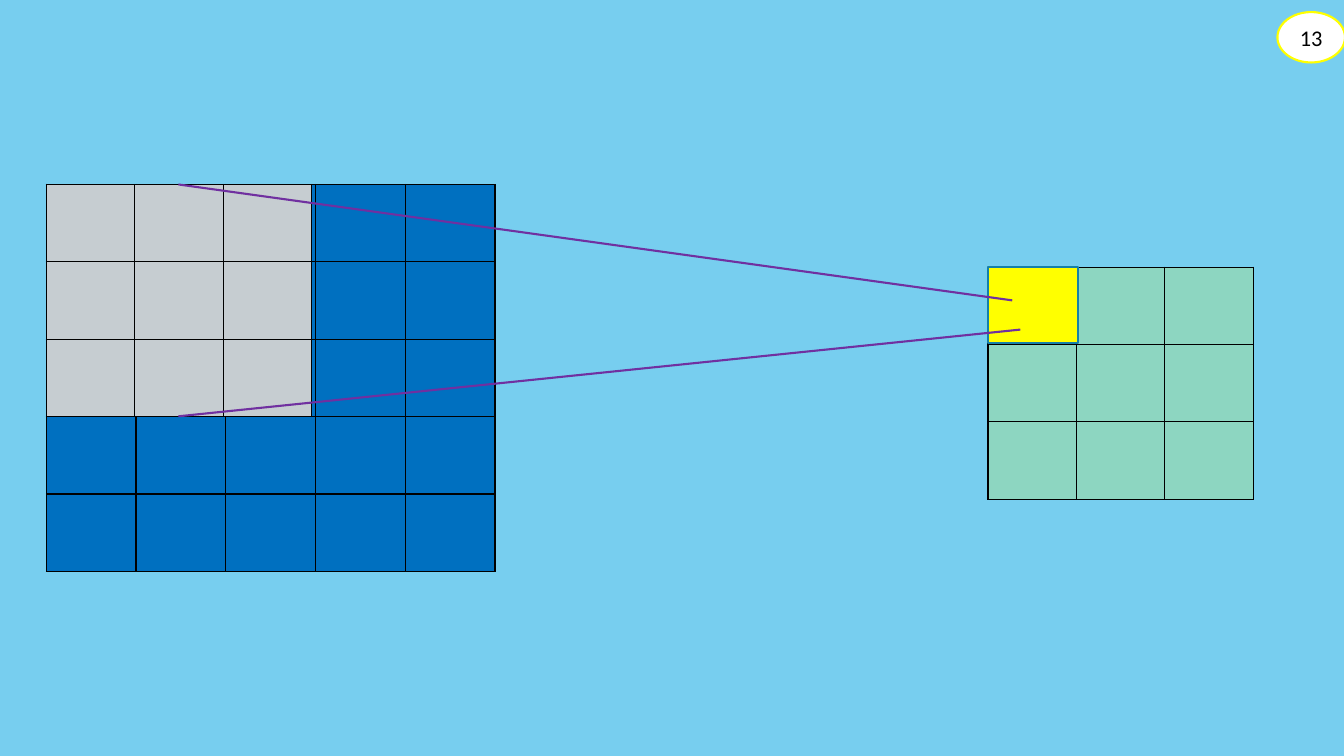
from lxml.etree import SubElement as Sub
from pptx import Presentation
from pptx.dml.color import RGBColor as RGB
from pptx.enum.shapes import MSO_CONNECTOR as LINK, MSO_SHAPE as SHAPE
from pptx.enum.text import MSO_ANCHOR as ANCHOR, PP_ALIGN as ALIGN
from pptx.oxml.ns import qn
from pptx.util import Inches, Pt

HUES = {
    "sky": "77CEEF", "input": "0070C0", "patch": "C6CDD1",
    "output": "8DD6C1", "cell": "FFFF00", "edge": "1580A9",
    "ray": "7030A0", "grid": "000000", "badge": "FFFFFF",
}


def hue(name):
    return RGB.from_string(HUES[name])


def paint(fill, name):
    fill.solid()
    fill.fore_color.rgb = hue(name)


def border(cell):
    props = cell._tc.get_or_add_tcPr()
    for side in ("lnL", "lnR", "lnT", "lnB"):
        line = Sub(props, qn(f"a:{side}"), w=str(Pt(1)))
        solid = Sub(line, qn("a:solidFill"))
        Sub(solid, qn("a:srgbClr"), val=HUES["grid"])


def add_grid(slide, left, top, count, wide, high, name):
    frame = slide.shapes.add_table(
        count, count, Inches(left), Inches(top),
        Inches(count * wide), Inches(count * high))
    table = frame.table
    table.first_row = table.horz_banding = False
    for col in table.columns:
        col.width = Inches(wide)
    for row in table.rows:
        row.height = Inches(high)
    for cell in table.iter_cells():
        border(cell)
        paint(cell.fill, name)


def add_box(slide, kind, box, fill, edge, width):
    shape = slide.shapes.add_shape(kind, *map(Inches, box))
    shape.shadow.inherit = False
    paint(shape.fill, fill)
    shape.line.color.rgb = hue(edge)
    shape.line.width = Pt(width)
    return shape


def add_ray(slide, start, end):
    ray = slide.shapes.add_connector(LINK.STRAIGHT, *map(Inches, start + end))
    ray.line.color.rgb = hue("ray")
    ray.line.width = Pt(1.5)
    Sub(ray._element.spPr, qn("a:effectLst"))


def add_input(slide, left, top):
    add_grid(slide, left, top, 5, 0.89, 0.768, "input")
    add_grid(slide, left, top, 3, 0.877, 0.768, "patch")


def add_output(slide, left, top):
    add_grid(slide, left, top, 3, 0.877, 0.768, "output")
    add_box(slide, SHAPE.RECTANGLE, (left, top, 0.89, 0.75), "cell", "edge", 1.25)


def add_badge(slide, box, text):
    badge = add_box(slide, SHAPE.OVAL, box, "badge", "cell", 1.5)
    frame = badge.text_frame
    frame.vertical_anchor = ANCHOR.MIDDLE
    par = frame.paragraphs[0]
    par.text = text
    par.alignment = ALIGN.CENTER
    par.font.name = "Calibri"
    par.font.size = Pt(16)
    par.font.color.rgb = hue("grid")


def main():
    deck = Presentation()
    deck.slide_width = Inches(13.33)
    deck.slide_height = Inches(7.5)
    slide = deck.slides.add_slide(deck.slide_layouts[6])
    paint(slide.background.fill, "sky")
    add_input(slide, 0.46, 1.83)
    add_output(slide, 9.8, 2.65)
    add_ray(slide, (1.77, 1.83), (10.04, 2.98))
    add_ray(slide, (1.77, 4.13), (10.12, 3.27))
    add_badge(slide, (12.67, 0.12, 0.67, 0.5), "13")
    deck.save("out.pptx")


if __name__ == "__main__":
    main()
